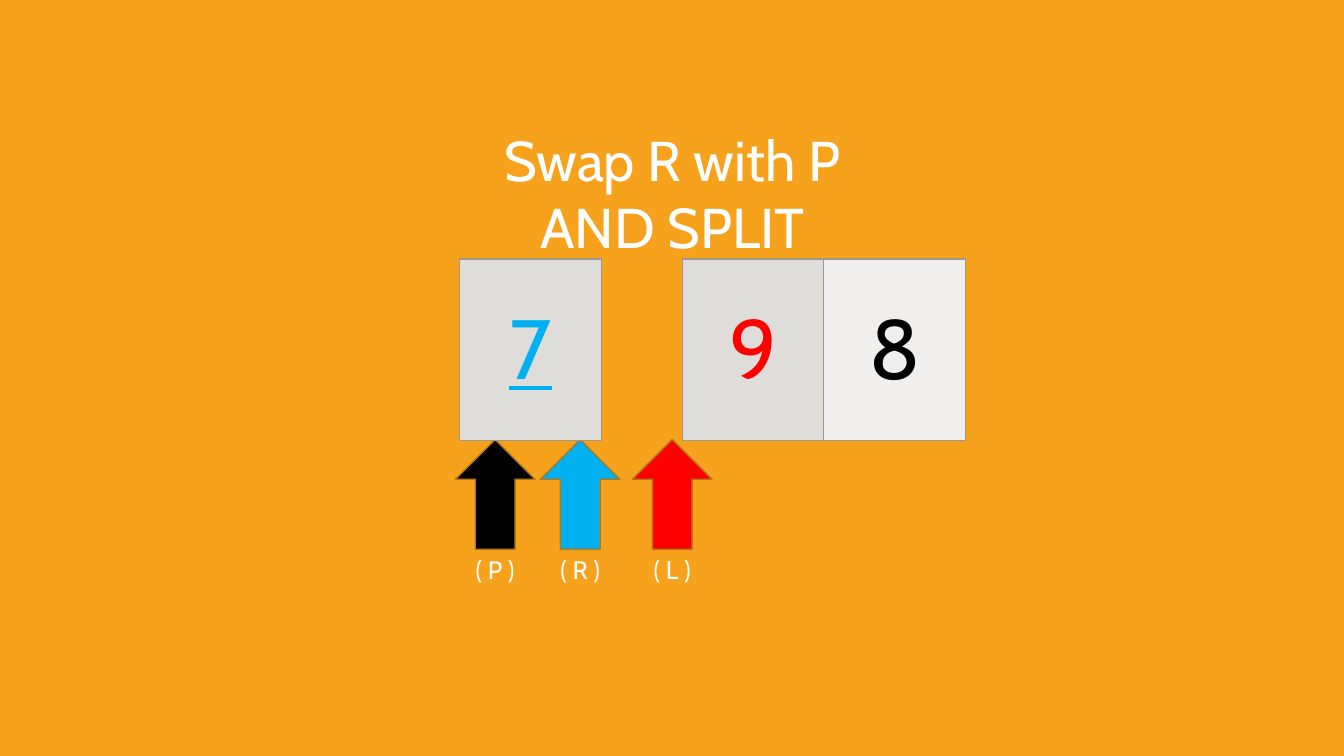
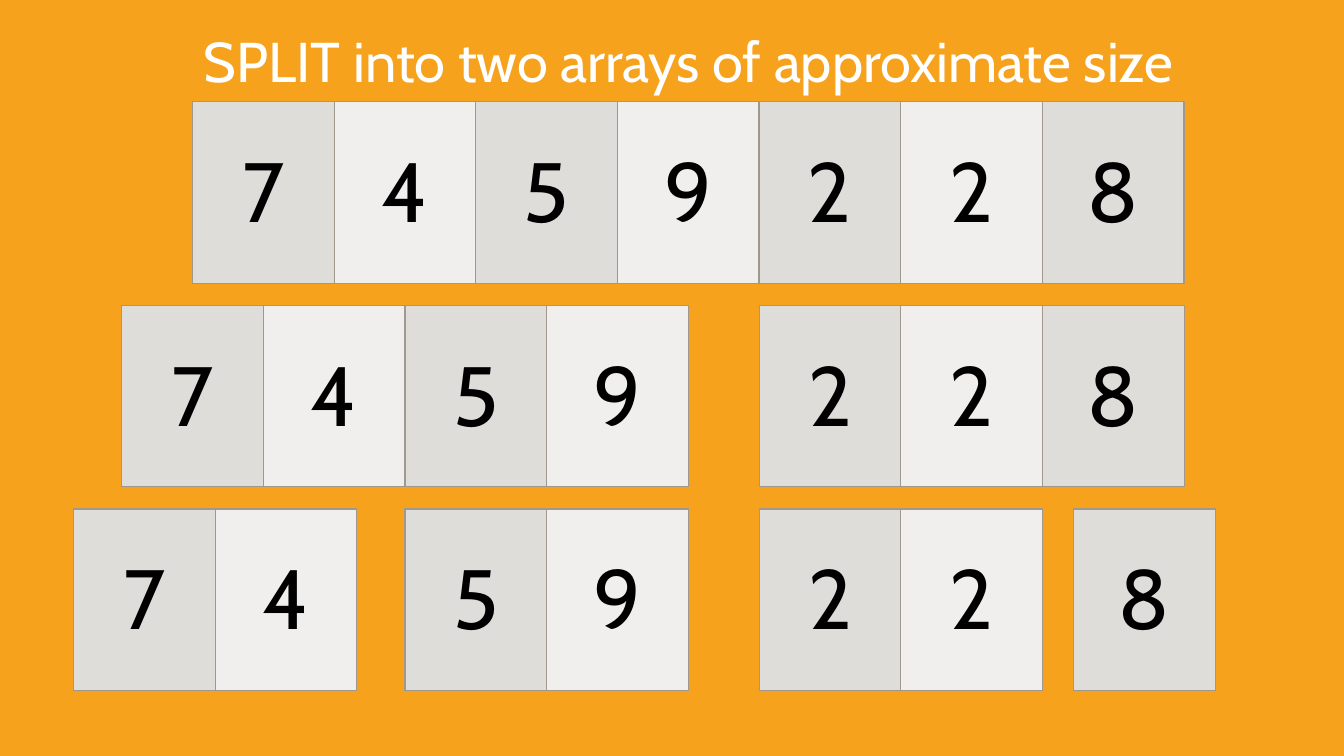
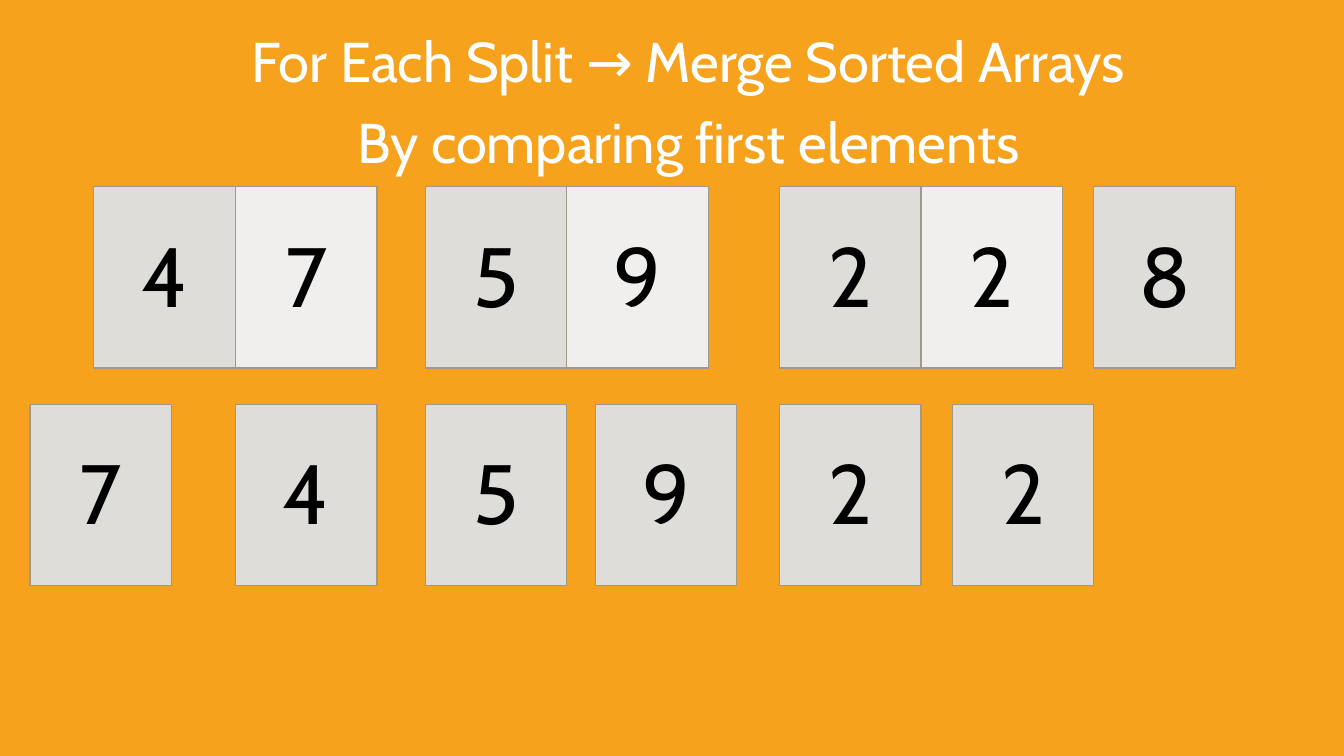
from lxml.etree import SubElement as Sub
from pptx import Presentation
from pptx.dml.color import RGBColor
from pptx.enum.shapes import MSO_SHAPE as Shape
from pptx.enum.text import MSO_ANCHOR as Anchor, MSO_AUTO_SIZE as Fit, PP_ALIGN as Align
from pptx.oxml.ns import qn
from pptx.util import Inches, Pt

# Shared look
BACK, WHITE, BLACK, RED, BLUE = "F6A21D", "FFFFFF", "000000", "FF0000", "00B0F0"
TINTS = ("DFDDDA", "F0EFEE")
EDGE, RIM = "A0988C", "B67815"
HEAD = {"name": "Cabin", "size": Pt(40)}
DIGIT = {"name": "Cabin", "size": Pt(60)}
LABEL = {"name": "Cabin", "size": Pt(18)}

# Grid: one array cell, in inches
COL, ROW = 1.405, 1.8
TITLE = (1.9, 0.21, 9.86, 1.38)


def rgb(code):
    return RGBColor.from_string(code)


def style(item, look):
    for key, val in look.items():
        setattr(item, key, val)


def paint(fill, code):
    fill.solid()
    fill.fore_color.rgb = rgb(code)


def write(para, text, look, ink, gap=0):
    style(para, {"alignment": Align.CENTER, "space_before": Pt(gap)})
    run = para.add_run()
    run.text = text
    style(run.font, look)
    run.font.color.rgb = rgb(ink)


def head(slide, lines, box=TITLE, gap=10):
    title = slide.shapes.title
    style(title, dict(zip(("left", "top", "width", "height"), map(Inches, box))))
    frame = title.text_frame
    style(frame, {"word_wrap": True, "auto_size": Fit.NONE, "vertical_anchor": Anchor.TOP})
    for num, line in enumerate(lines):
        para = frame.add_paragraph() if num else frame.paragraphs[0]
        write(para, line, HEAD, WHITE, gap)


def border(cell):
    props = cell._tc.get_or_add_tcPr()
    for side in ("lnL", "lnR", "lnT", "lnB"):
        line = Sub(props, qn("a:" + side), w=str(Pt(1)))
        Sub(Sub(line, qn("a:solidFill")), qn("a:srgbClr"), val=EDGE)


def array(slide, left, top, digits, inks=None, look=DIGIT):
    """Draw a row of digits as a table with alternating tints."""
    count = len(digits)
    box = map(Inches, (left, top, COL * count, ROW))
    table = slide.shapes.add_table(1, count, *box).table
    style(table, {"first_row": False, "horz_banding": False})
    for num, digit in enumerate(digits):
        table.columns[num].width = Inches(COL)
        cell = table.cell(0, num)
        border(cell)
        paint(cell.fill, TINTS[num % 2])
        cell.vertical_anchor = Anchor.MIDDLE
        write(cell.text_frame.paragraphs[0], digit, look, inks[num] if inks else BLACK)


def arrays(slide, base, top, parts):
    """Place arrays on one row; each offset counts cells from base."""
    for step, digits in parts:
        array(slide, base + step * COL, top, digits)


def marker(slide, mid, top, name, ink):
    """Draw an arrow pointing up, with its label below."""
    wide, tall, span = 0.79, 1.09, 1.63
    group = slide.shapes.add_group_shape().shapes
    box = map(Inches, (mid - wide / 2, top, wide, tall))
    arrow = group.add_shape(Shape.UP_ARROW, *box)
    arrow.shadow.inherit = False
    paint(arrow.fill, ink)
    arrow.line.color.rgb = rgb(RIM)
    arrow.line.width = Pt(1)
    box = map(Inches, (mid - span / 2, top + tall, span, 0.4))
    frame = group.add_textbox(*box).text_frame
    style(frame, {"word_wrap": True, "auto_size": Fit.SHAPE_TO_FIT_TEXT})
    write(frame.paragraphs[0], f"( {name} )", LABEL, WHITE)


def swap(slide):
    base, top = 4.56, 2.57
    for step, name, ink in ((1.5, "L", RED), (0.25, "P", BLACK), (0.85, "R", BLUE)):
        marker(slide, base + step * COL, top + ROW - 0.01, name, ink)
    head(slide, ("Swap R with P", "AND SPLIT"), (2.95, 1.19, 7.44, 1.38), 0)
    array(slide, base, top, "7", (BLUE,), {**DIGIT, "underline": True})
    array(slide, base + 1.57 * COL, top, "98", (RED, BLACK))


def split(slide):
    head(slide, ("SPLIT into two arrays of approximate size",))
    rows = (
        ((0, "7459228"),),
        ((-0.5, "7459"), (4, "228")),
        ((-0.84, "74"), (1.5, "59"), (4, "22"), (6.22, "8")),
    )
    for num, parts in enumerate(rows):
        arrays(slide, 1.91, 1.01 + num * 2.02, parts)


def merge(slide):
    head(slide, ("For Each Split → Merge Sorted Arrays", "By comparing first elements"))
    ones = ((-1.29, "7"), (0.16, "4"), (1.5, "5"), (2.7, "9"), (4, "2"), (5.22, "2"))
    pairs = ((-0.84, "47"), (1.5, "59"), (4, "22"), (6.22, "8"))
    arrays(slide, 2.11, 4.01, ones)
    arrays(slide, 2.11, 1.85, pairs)


def main():
    deck = Presentation()
    style(deck, {"slide_width": Inches(13.33), "slide_height": Inches(7.5)})
    paint(deck.slide_master.background.fill, BACK)
    for draw in (swap, split, merge):
        draw(deck.slides.add_slide(deck.slide_layouts[5]))
    deck.save("out.pptx")


main()
